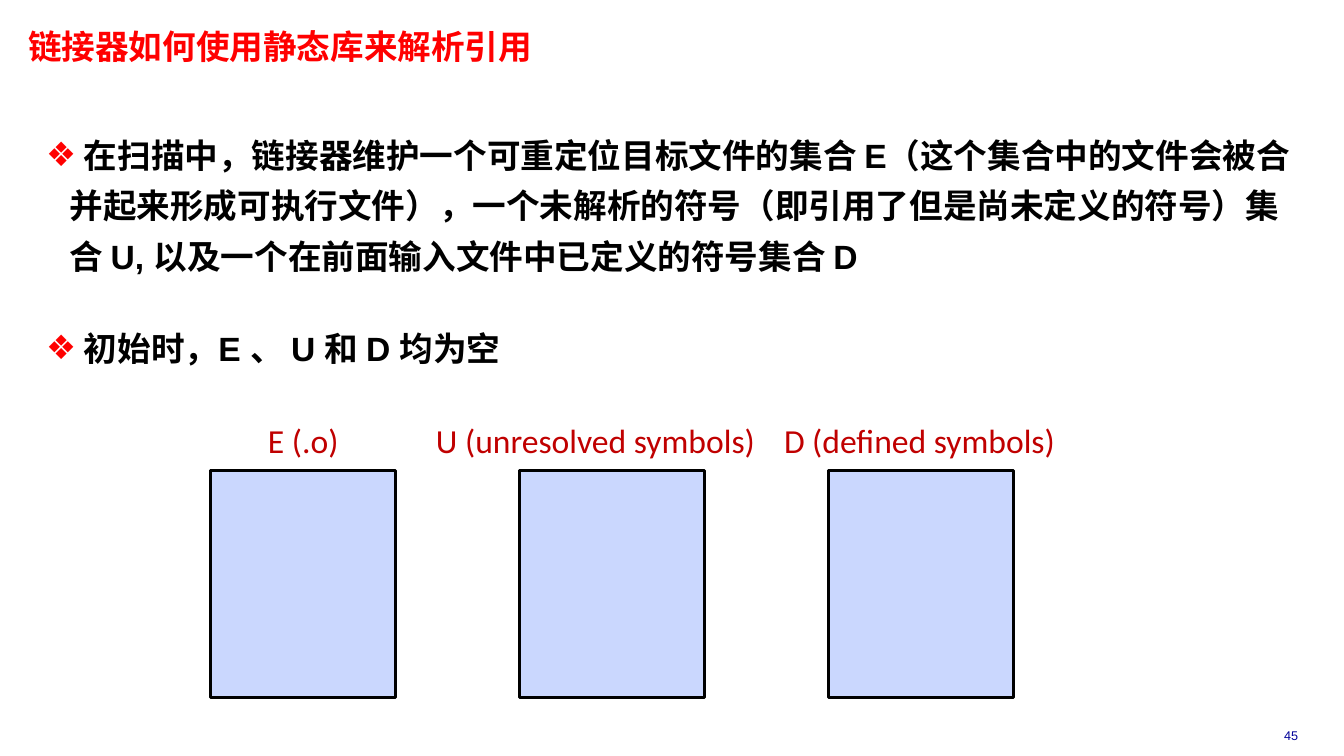
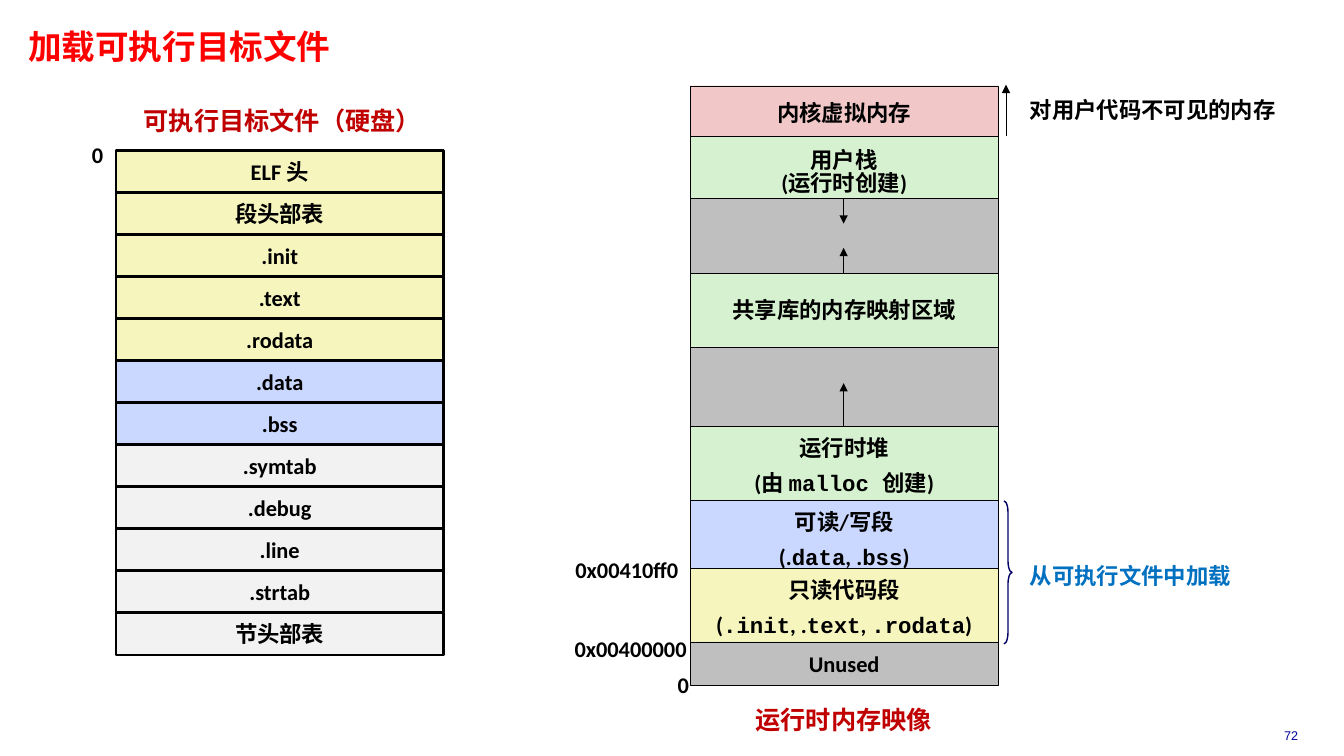
"""Build two slides on static linking and on loading an executable file."""
import lxml.etree
import pptx
import pptx.dml.color
import pptx.enum.dml
import pptx.enum.shapes
import pptx.enum.text
import pptx.oxml.ns
import pptx.util

Pt = pptx.util.Pt
RGB = pptx.dml.color.RGBColor
qn = pptx.oxml.ns.qn
ALIGN = pptx.enum.text.PP_ALIGN
ANCHOR = pptx.enum.text.MSO_ANCHOR
SHAPE = pptx.enum.shapes.MSO_SHAPE

RED = RGB(0xFF, 0x00, 0x00)
BLACK = RGB(0x00, 0x00, 0x00)
MAROON = RGB(0xC0, 0x00, 0x00)
NAVY = RGB(0x00, 0x00, 0x99)
DARK = RGB(0x00, 0x00, 0x66)
AZURE = RGB(0x00, 0x70, 0xC0)
BLUE = RGB(0xCA, 0xD7, 0xFE)
YELLOW = RGB(0xF6, 0xF5, 0xBD)
PALE = RGB(0xF2, 0xF2, 0xF2)
GREY = RGB(0xBF, 0xBF, 0xBF)
GREEN = RGB(0xD5, 0xF1, 0xCF)
PINK = RGB(0xF1, 0xC7, 0xC7)

SANS, ROMAN, MONO, HAN = "Arial", "Calibri", "Courier New", "Noto Sans CJK SC"

POINTS = [
    " 在扫描中，链接器维护一个可重定位目标文件的集合 E（这个集合中的文件会被"
    "合并起来形成可执行文件），一个未解析的符号（即引用了但是尚未定义的符号）"
    "集合 U, 以及一个在前面输入文件中已定义的符号集合 D",
    " 初始时，E 、 U 和 D 均为空",
]
SETS = [("E (.o)", 191.4), ("U (unresolved symbols)", 311.4),
        ("D (defined symbols)", 560)]

PARTS = [
    (YELLOW, ["ELF 头", "段头部表", ".init", ".text", ".rodata"]),
    (BLUE, [".data", ".bss"]),
    (PALE, [".symtab", ".debug", ".line", ".strtab", "节头部表"]),
]
ZONES = [
    (61.2, 38, PINK, [["内核虚拟内存"]]),
    (97.2, 44.6, GREEN, [["用户栈"], ["(运行时创建)"]]),
    (141.8, 53.3, GREY, []),
    (195.1, 52.6, GREEN, [["共享库的内存映射区域"]]),
    (247.7, 56.9, GREY, []),
    (304.6, 52.5, GREEN, [["运行时堆"], ["(由 ", ("malloc 创建",), ")"]]),
    (357.1, 52.5, BLUE,
     [["可读/写段"], ["(.", ("data",), ", .", ("bss",), ")"]]),
    (406.1, 52.5, YELLOW,
     [["只读代码段"],
      ["(", (".init",), ", .", ("text",), ", ", (".rodata",), ")"]]),
    (458.6, 31, GREY, [["Unused"]]),
]
ARROWS = [(602.6, 304, 273.6), (602.6, 195.6, 177.1),
          (602.6, 141.8, 159.8), (718.6, 97.2, 60.5)]
NOTES = [
    ("0", 65.7, 110.7, 30, BLACK),
    ("0x00410ff0", 411, 407, 90, BLACK),
    ("0x00400000", 410.4, 463, 90, BLACK),
    ("0", 484, 489.3, 30, BLACK),
    ("对用户代码不可见的内存", 735.7, 78.6, 200, BLACK),
    ("从可执行文件中加载", 735.7, 411.4, 180, AZURE),
]
HEADS = [("可执行目标文件（硬盘）", 201.6, 85.7), ("运行时内存映像", 602.6, 513.6)]


def write(para, text, size, color, face=ROMAN, bold=True):
    """Add one styled run."""
    run = para.add_run()
    run.text = text
    font = run.font
    font.size, font.bold, font.name = Pt(size), bold, face
    font.color.rgb = color
    east = lxml.etree.Element(qn("a:ea"), typeface=HAN)
    font._element.find(qn("a:latin")).addnext(east)


def setup(frame, anchor=ANCHOR.MIDDLE, pad=0):
    """Set wrap, anchor and insets of a text frame."""
    frame.word_wrap = True
    frame.auto_size = pptx.enum.text.MSO_AUTO_SIZE.NONE
    frame.vertical_anchor = anchor
    frame.margin_left = frame.margin_right = Pt(pad)
    frame.margin_top = frame.margin_bottom = Pt(0)
    return frame


def place(item, left, top, width, height):
    """Move and size a placeholder."""
    item.left, item.top = Pt(left), Pt(top)
    item.width, item.height = Pt(width), Pt(height)


def label(slide, text, left, mid, width, size, color,
          face=ROMAN, bold=True, align=ALIGN.LEFT):
    """Add a one-line label centred on the height mid."""
    box = slide.shapes.add_textbox(Pt(left), Pt(mid - 15), Pt(width), Pt(30))
    para = setup(box.text_frame).paragraphs[0]
    para.alignment = align
    write(para, text, size, color, face, bold)


def block(slide, left, top, width, height, fill, line, paras=()):
    """Add a filled box with centred lines of text."""
    box = slide.shapes.add_shape(
        SHAPE.RECTANGLE, Pt(left), Pt(top), Pt(width), Pt(height))
    box.shadow.inherit = False
    box.fill.solid()
    box.fill.fore_color.rgb = fill
    box.line.color.rgb = BLACK
    box.line.width = Pt(line)
    frame = setup(box.text_frame)
    tight = height < 50
    for i, runs in enumerate(paras):
        para = frame.add_paragraph() if i else frame.paragraphs[0]
        para.alignment = ALIGN.CENTER
        if len(paras) > 1:
            para.line_spacing = Pt(16 if tight else 22)
            if i and not tight:
                para.space_before = Pt(3)
        for run in runs:
            mono = isinstance(run, tuple)
            write(para, run[0] if mono else run, 16, BLACK,
                  MONO if mono else ROMAN)
    if tight and len(paras) > 1:
        frame.vertical_anchor = ANCHOR.BOTTOM
        frame.margin_bottom = Pt(2)


def arrow(slide, x, start, end):
    """Add a thin upright arrow."""
    line = slide.shapes.add_connector(
        pptx.enum.shapes.MSO_CONNECTOR.STRAIGHT,
        Pt(x), Pt(start), Pt(x), Pt(end))
    line.line.color.rgb = BLACK
    line.line.width = Pt(0.25)
    lxml.etree.SubElement(
        line.line._get_or_add_ln(), qn("a:tailEnd"), type="triangle")
    lxml.etree.SubElement(line._element.spPr, qn("a:effectLst"))


def start(deck, kind, title, page):
    """Add a slide with its title and page number."""
    slide = deck.slides.add_slide(deck.slide_layouts[kind])
    head = slide.shapes.title
    place(head, 20, 22.4, 556, 32)
    para = setup(head.text_frame, ANCHOR.TOP).paragraphs[0]
    para.alignment = ALIGN.LEFT
    para.line_spacing = Pt(25)
    write(para, title, 24, RED, SANS)
    label(slide, page, 888.5, 525, 67.7, 9, NAVY, SANS, False, ALIGN.CENTER)
    return slide


def bullet(para):
    """Give a paragraph a red diamond and a hanging indent."""
    props = para._p.get_or_add_pPr()
    props.set("marL", str(Pt(16.6)))
    props.set("indent", str(Pt(-16.6)))
    tint = lxml.etree.SubElement(props, qn("a:buClr"))
    lxml.etree.SubElement(tint, qn("a:srgbClr"), val=str(RED))
    lxml.etree.SubElement(props, qn("a:buFont"), typeface=SANS)
    lxml.etree.SubElement(props, qn("a:buChar"), char="❖")


def links(deck):
    """Build the slide on resolving references."""
    slide = start(deck, 1, "链接器如何使用静态库来解析引用", "45")
    body = slide.placeholders[1]
    place(body, 28, 89, 905, 190)
    frame = setup(body.text_frame, ANCHOR.TOP, 5)
    for i, text in enumerate(POINTS):
        para = frame.add_paragraph() if i else frame.paragraphs[0]
        bullet(para)
        para.alignment = ALIGN.LEFT
        para.line_spacing = Pt(36)
        para.space_before = Pt(30 if i else 0)
        write(para, text, 24, BLACK, SANS)
    for i, (text, left) in enumerate(SETS):
        block(slide, 150.5 + 220.6 * i, 336, 132, 162, BLUE, 2.25)
        label(slide, text, left, 314.5, 245, 24, MAROON, bold=False)


def loads(deck):
    """Build the slide on loading an executable."""
    slide = start(deck, 5, "加载可执行目标文件", "72")
    rows = [(fill, name) for fill, names in PARTS for name in names]
    for i, (fill, name) in enumerate(rows):
        block(slide, 82.8, 107.3 + 30.05 * i, 234, 30.05, fill, 2, [[name]])
    for top, height, fill, paras in ZONES:
        block(slide, 493.2, top, 219.6, height, fill, 0.25, paras)
    for spot in ARROWS:
        arrow(slide, *spot)
    brace = slide.shapes.add_shape(
        SHAPE.RIGHT_BRACE, Pt(717.1), Pt(357.8), Pt(5.8), Pt(102.2))
    brace.shadow.inherit = False
    brace.adjustments[0] = 1.42
    brace.fill.background()
    brace.line.color.rgb = DARK
    brace.line.width = Pt(1)
    for text, left, mid, width, color in NOTES:
        label(slide, text, left, mid, width, 16, color)
    for text, x, mid in HEADS:
        label(slide, text, x - 110, mid, 220, 18, MAROON, HAN,
              align=ALIGN.CENTER)


def main():
    """Build and save the deck."""
    deck = pptx.Presentation()
    deck.slide_width, deck.slide_height = Pt(960), Pt(540)
    links(deck)
    loads(deck)
    deck.save("out.pptx")


if __name__ == "__main__":
    main()
